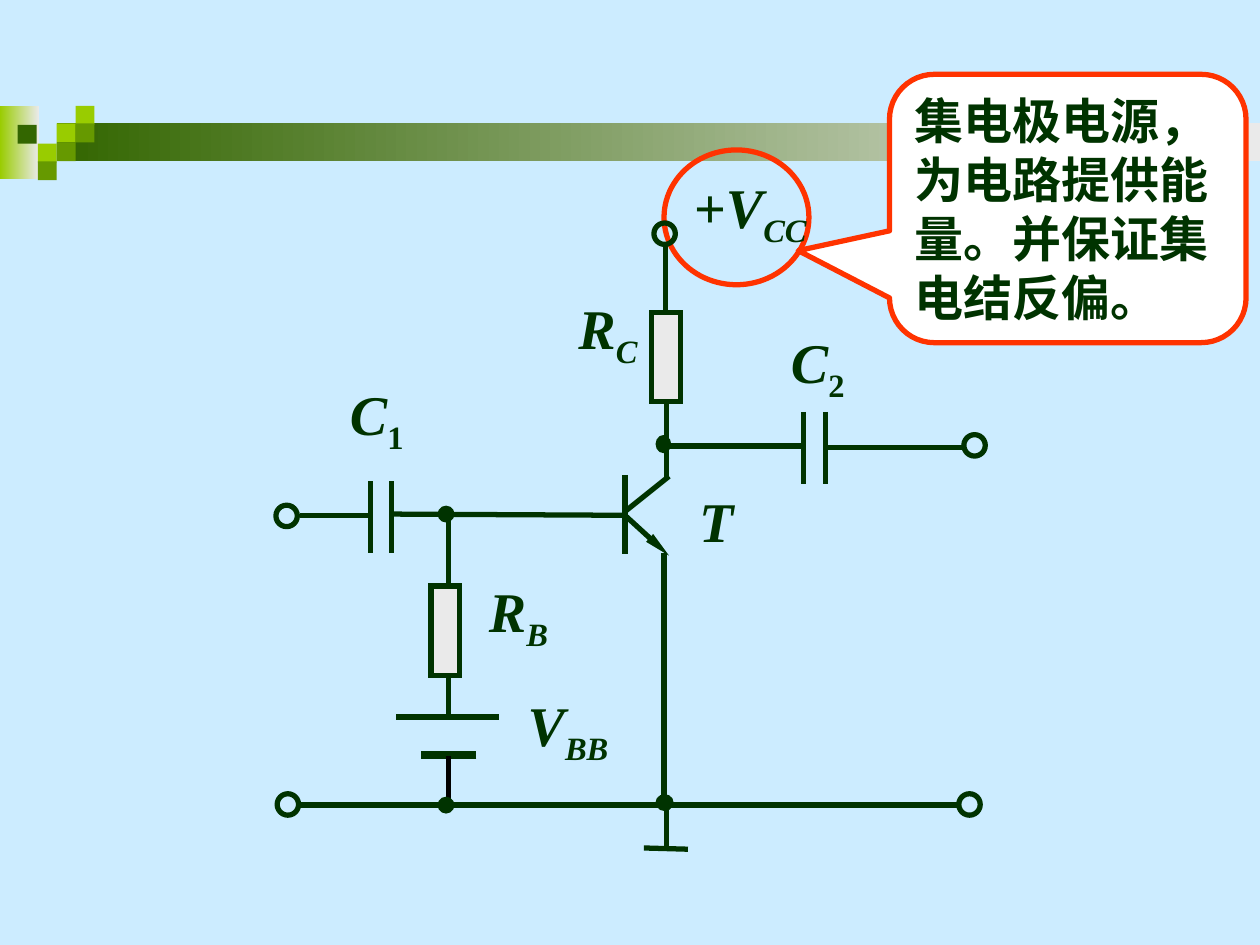
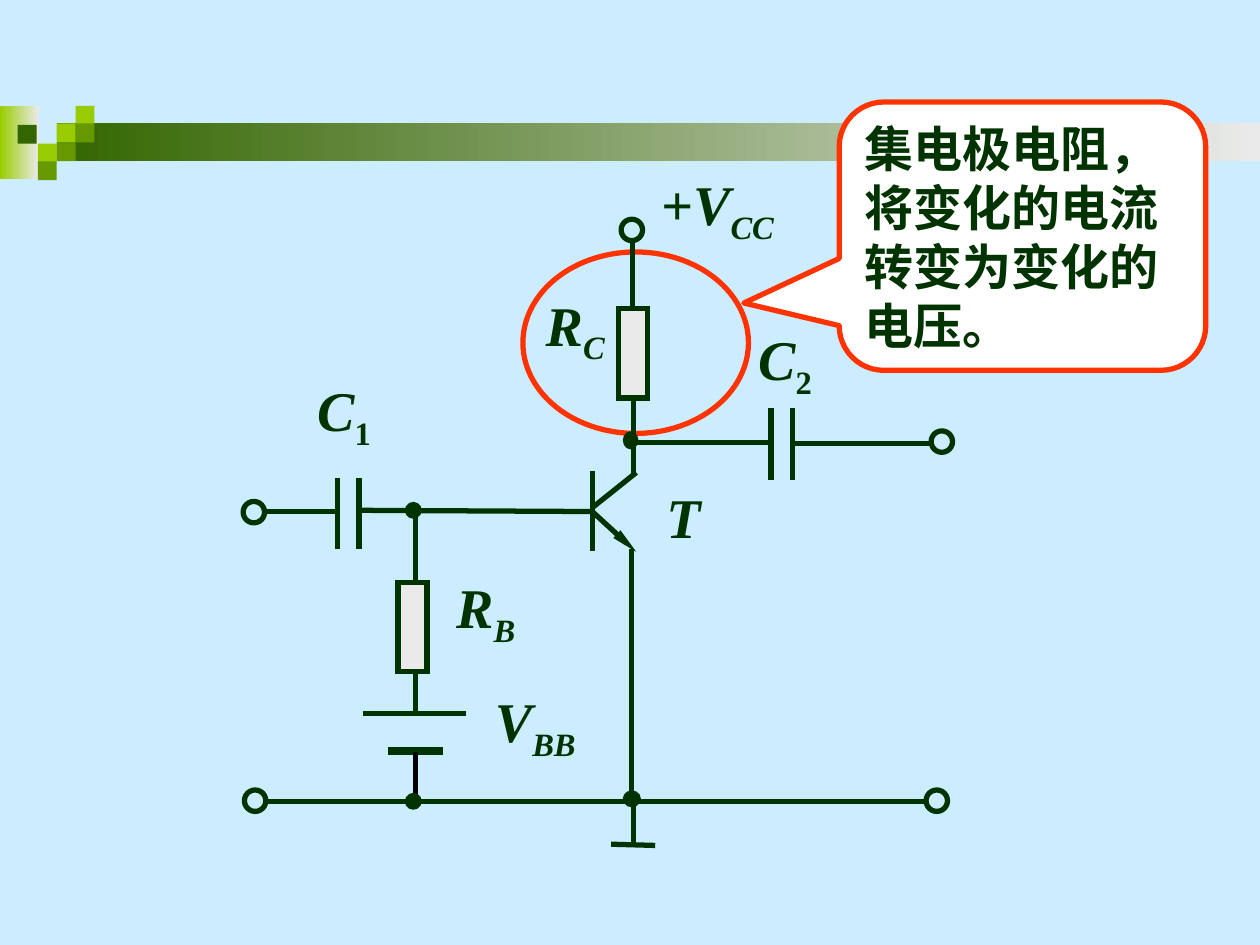
from dataclasses import dataclass

from lxml import etree
from pptx import Presentation
from pptx.dml.color import RGBColor
from pptx.enum.shapes import MSO_CONNECTOR, MSO_SHAPE
from pptx.enum.text import MSO_ANCHOR, MSO_AUTO_SIZE, PP_ALIGN
from pptx.oxml.ns import qn
from pptx.util import Emu, Pt

RECT = MSO_SHAPE.RECTANGLE
OVAL = MSO_SHAPE.OVAL
CALLOUT = MSO_SHAPE.ROUNDED_RECTANGULAR_CALLOUT
STRAIGHT = MSO_CONNECTOR.STRAIGHT
MIDDLE = MSO_ANCHOR.MIDDLE
GROW = MSO_AUTO_SIZE.SHAPE_TO_FIT_TEXT
LEFT, CENTER = PP_ALIGN.LEFT, PP_ALIGN.CENTER

PX = 9144  # 100 px to the inch
BLANK_LAYOUT = 6


@dataclass(frozen=True)
class Theme:
    sky: str = "CCECFF"
    ink: str = "003300"
    black: str = "000000"
    white: str = "FFFFFF"
    pale: str = "EAEAEA"
    accent: str = "FF3300"
    lime: str = "99CC00"
    olive: str = "669900"
    forest: str = "336600"
    font: str = "Times New Roman"
    label_size: int = 32
    note_size: int = 28
    wire: float = 3
    plate: float = 4.5
    hair: float = 1


def px(*lengths):
    return [Emu(length * PX) for length in lengths]


def rgb(color):
    return RGBColor.from_string(color)


class Board:
    """Theme and current slide, with one method per kind of element."""

    def __init__(self, theme):
        self.theme = theme
        self.deck = Presentation()
        self.deck.slide_width, self.deck.slide_height = px(1000, 750)
        self.layout = self.deck.slide_layouts[BLANK_LAYOUT]
        background = self.deck.slide_master.background.fill
        background.solid()
        background.fore_color.rgb = rgb(theme.sky)

    def new_slide(self):
        self.slide = self.deck.slides.add_slide(self.layout)
        self.shapes = self.slide.shapes
        self.shift = (0, 0)

    def start_group(self, shift):
        self.shapes = self.slide.shapes.add_group_shape().shapes
        self.shift = shift

    def place(self, x, y):
        return px(x + self.shift[0], y + self.shift[1])

    def shape(self, kind, box, fill=None, line=None, width=None):
        x, y, w, h = box
        shape = self.shapes.add_shape(kind, *self.place(x, y), *px(w, h))
        shape.shadow.inherit = False
        if isinstance(fill, tuple):
            shape.fill.gradient()
            shape.fill.gradient_angle = 0
            for stop, color in zip(shape.fill.gradient_stops, fill):
                stop.color.rgb = rgb(color)
        elif fill:
            shape.fill.solid()
            shape.fill.fore_color.rgb = rgb(fill)
        else:
            shape.fill.background()
        if line:
            shape.line.color.rgb = rgb(line)
            shape.line.width = Pt(width or self.theme.wire)
            if kind == RECT:
                outline = shape._element.spPr.find(qn("a:ln"))
                etree.SubElement(outline, qn("a:miter"), lim="800000")
        else:
            shape.line.fill.background()
        return shape

    def wire(self, x1, y1, x2, y2, color=None, width=None, arrow=False):
        wire = self.shapes.add_connector(
            STRAIGHT, *self.place(x1, y1), *self.place(x2, y2))
        wire.line.color.rgb = rgb(color or self.theme.ink)
        wire.line.width = Pt(width or self.theme.wire)
        properties = wire._element.spPr
        if arrow:
            outline = properties.find(qn("a:ln"))
            etree.SubElement(outline, qn("a:tailEnd"),
                             type="triangle", w="sm", len="lg")
        etree.SubElement(properties, qn("a:effectLst"))

    def style(self, paragraph, size, align):
        paragraph.alignment = align
        font = paragraph.font
        font.name, font.size, font.bold = self.theme.font, Pt(size), True
        font.color.rgb = rgb(self.theme.ink)

    def label(self, box, symbol, sub="", sign="", align=CENTER):
        x, y, w, h = box
        frame = self.shapes.add_textbox(*self.place(x, y), *px(w, h)).text_frame
        frame.word_wrap = False
        frame.auto_size = GROW
        frame.vertical_anchor = MIDDLE
        paragraph = frame.paragraphs[0]
        self.style(paragraph, self.theme.label_size, align)
        for text in filter(None, (sign, symbol, sub)):
            run = paragraph.add_run()
            run.text = text
            run.font.italic = text.isalpha()
            if text == sub:
                run._r.get_or_add_rPr().set("baseline", "-25000")

    def highlight(self, box):
        self.shape(OVAL, box, line=self.theme.accent)

    def callout(self, box, pointer, text):
        note = self.shape(CALLOUT, box, self.theme.white, self.theme.accent)
        for index, value in enumerate((*pointer, 0.167)):
            note.adjustments[index] = value
        frame = note.text_frame
        frame.word_wrap = True
        frame.vertical_anchor = MIDDLE
        frame.text = text
        self.style(frame.paragraphs[0], self.theme.note_size, LEFT)

    def banner(self):
        """Draw the band and its mosaic, then hand them to the layout."""
        t = self.theme
        parts = [
            self.shape(RECT, (0, 84, 31, 58), (t.lime, t.pale)),
            self.shape(RECT, (45, 98, 955, 30), (t.forest, t.pale)),
        ]
        tiles = [(45, 98, t.lime), (60, 84, t.lime), (60, 98, t.olive),
                 (30, 114, t.lime), (14, 99, t.forest), (45, 113, t.olive),
                 (30, 128, t.olive)]
        parts += [self.shape(RECT, (x, y, 15, 15), color)
                  for x, y, color in tiles]
        for part in parts:
            self.layout.shapes._spTree.append(part._element)

    def circuit(self, shift):
        """Draw the common-emitter amplifier, moved by shift."""
        t = self.theme
        self.start_group(shift)

        # Supply, base, collector and emitter wires
        for ends in [(356, 570, 356, 407), (528, 247, 528, 194),
                     (310, 408, 498, 409), (529, 279, 529, 380),
                     (527, 439, 527, 639), (238, 639, 762, 639),
                     (238, 409, 293, 409), (765, 355, 654, 355),
                     (527, 354, 637, 354)]:
            self.wire(*ends)

        # Transistor
        self.wire(496, 377, 496, 440)
        self.wire(496, 406, 531, 378)
        self.wire(496, 409, 531, 441, arrow=True)

        # Bias battery
        self.wire(396, 569, 314, 569)
        self.wire(378, 599, 334, 599, width=t.plate)
        self.wire(356, 600, 356, 638, color=t.black)

        # Coupling capacitors
        for left, top in [(294, 382), (638, 327)]:
            for plate in (left, left + 17):
                self.wire(plate, top, plate, top + 57)

        # Resistors
        for x, y in [(517, 248), (342, 465)]:
            self.shape(RECT, (x, y, 23, 71), t.pale, t.ink)

        # Terminals
        for x, y in [(519, 177), (219, 401), (220, 630), (765, 345), (761, 630)]:
            self.shape(OVAL, (x, y, 17, 17), line=t.ink)

        # Ground
        self.wire(529, 640, 529, 675)
        self.wire(511, 673, 546, 674)

        # Junctions
        for box in [(521, 346, 11, 13), (348, 402, 12, 12),
                    (348, 633, 12, 12), (521, 631, 13, 12)]:
            self.shape(OVAL, box, t.ink, t.ink, t.hair)

        # Part names, in boxes wide enough to keep each on one line
        self.label((373, 452, 77, 71), "R", "B")
        self.label((444, 228, 77, 71), "R", "C")
        self.label((259, 296, 80, 71), "C", "1")
        self.label((609, 255, 80, 71), "C", "2")
        self.label((545, 381, 47, 64), "T")
        self.label((541, 132, 109, 71), "V", "CC", sign="+", align=LEFT)
        self.label((409, 543, 84, 71), "V", "BB", align=LEFT)


def main():
    board = Board(Theme())

    # Collector supply
    board.new_slide()
    board.banner()
    board.highlight((527, 119, 115, 107))
    board.callout((706, 59, 283, 213), (-0.756, 0.157),
                  "集电极电源，为电路提供能量。并保证集电结反偏。")
    board.circuit((0, 0))

    # Collector resistor
    board.new_slide()
    board.highlight((415, 200, 179, 144))
    board.callout((666, 81, 291, 213), (-0.76, 0.249),
                  "集电极电阻，将变化的电流转变为变化的电压。")
    board.circuit((-26, -3))

    board.deck.save("out.pptx")


if __name__ == "__main__":
    main()
